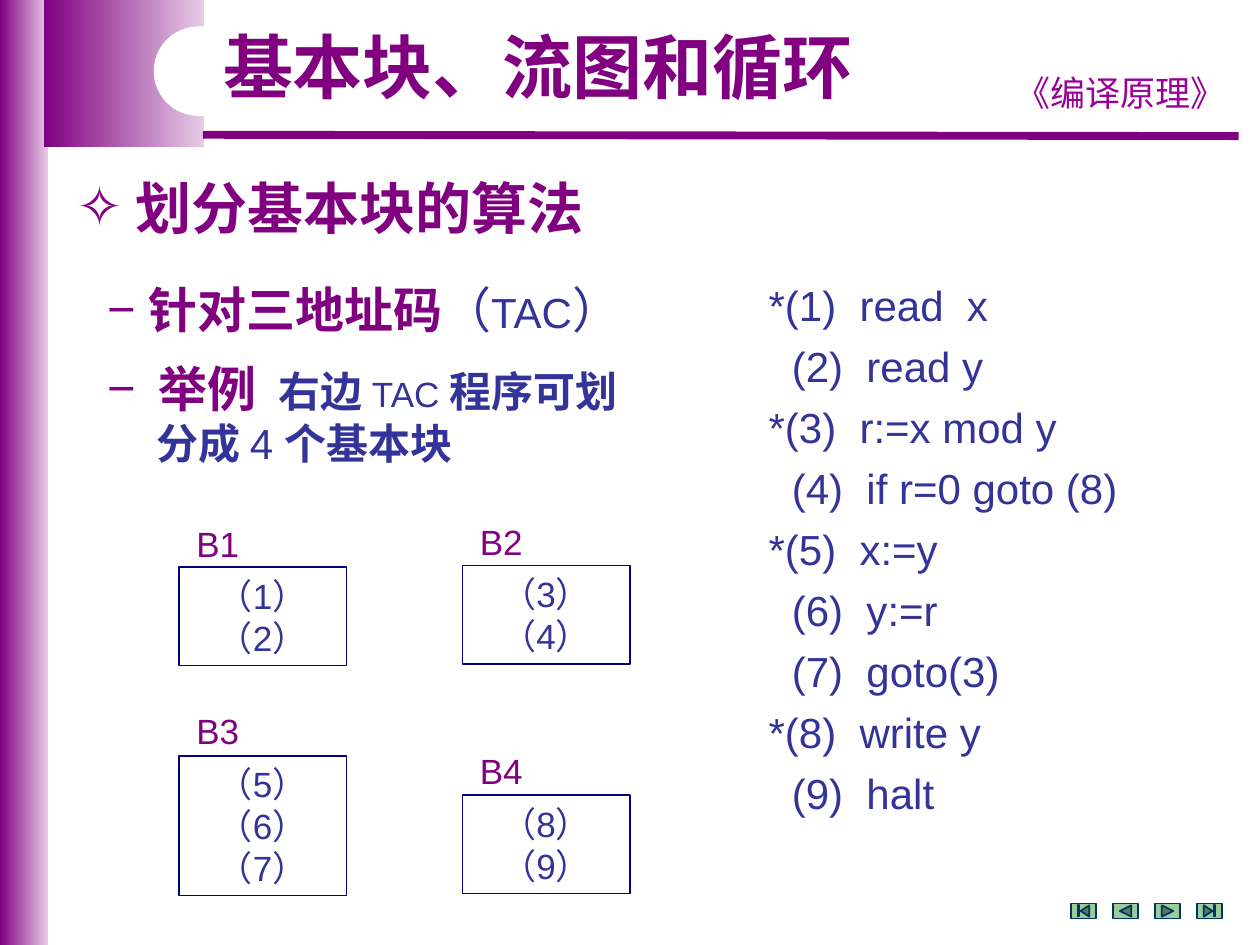
"""Build the slide on basic blocks, flow graphs and loops."""
from dataclasses import dataclass

from lxml.etree import SubElement
from pptx import Presentation
from pptx.dml.color import RGBColor
from pptx.enum.shapes import MSO_CONNECTOR, MSO_SHAPE
from pptx.enum.text import MSO_ANCHOR, MSO_AUTO_SIZE, PP_ALIGN
from pptx.oxml.ns import qn
from pptx.util import Inches, Pt

PURPLE = RGBColor(0x80, 0x00, 0x80)
PALE_PURPLE = RGBColor(0xE6, 0xCC, 0xE6)
MAGENTA = RGBColor(0x99, 0x00, 0x99)
INDIGO = RGBColor(0x33, 0x33, 0x99)
NAVY = RGBColor(0x00, 0x00, 0x80)
GREEN = RGBColor(0x99, 0xCC, 0x99)
DARK_TEAL = RGBColor(0x00, 0x33, 0x66)
WHITE = RGBColor(0xFF, 0xFF, 0xFF)


@dataclass
class Span:
    text: str
    size: float
    color: RGBColor = INDIGO
    bold: bool = False


@dataclass
class Block:
    name: str
    left: float
    top: float
    height: float
    label_top: float
    steps: tuple[int, ...]


BLOCKS = [
    Block("B1", 1.42, 4.5, 0.78, 4.1, (1, 2)),
    Block("B2", 3.67, 4.49, 0.78, 4.08, (3, 4)),
    Block("B3", 1.42, 6, 1.11, 5.58, (5, 6, 7)),
    Block("B4", 3.67, 6.31, 0.78, 5.9, (8, 9)),
]
PROGRAM = [
    "*(1)  read  x",
    "  (2)  read y",
    "*(3)  r:=x mod y",
    "  (4)  if r=0 goto (8)",
    "*(5)  x:=y",
    "  (6)  y:=r",
    "  (7)  goto(3)",
    "*(8)  write y",
    "  (9)  halt",
]
BUTTONS = [
    MSO_SHAPE.ACTION_BUTTON_BEGINNING,
    MSO_SHAPE.ACTION_BUTTON_BACK_OR_PREVIOUS,
    MSO_SHAPE.ACTION_BUTTON_FORWARD_OR_NEXT,
    MSO_SHAPE.ACTION_BUTTON_END,
]


def write(frame, *spans: Span, align=PP_ALIGN.LEFT, bullet="", margin=0.0,
          indent=0.0, tab=0.0, before=0.0, spacing=1.0, font="Arial"):
    """Write one paragraph, filling the empty first one when there is one."""
    first = frame.paragraphs[0]
    para = frame.add_paragraph() if first.runs else first
    para.alignment = align
    para.line_spacing = spacing
    para.space_before = Pt(before)
    para.space_after = Pt(0)
    properties = para._p.get_or_add_pPr()
    properties.set("marL", str(Inches(margin)))
    properties.set("indent", str(Inches(indent)))
    if bullet:
        color = SubElement(properties, qn("a:buClr"))
        SubElement(color, qn("a:srgbClr"), val=str(PURPLE))
        SubElement(properties, qn("a:buFont"), typeface="Arial")
        SubElement(properties, qn("a:buChar"), char=bullet)
    else:
        SubElement(properties, qn("a:buNone"))
    if tab:
        stops = SubElement(properties, qn("a:tabLst"))
        SubElement(stops, qn("a:tab"), pos=str(Inches(tab)), algn="l")
    for span in spans:
        run = para.add_run()
        run.text = span.text
        run.font.name = font
        run.font.size = Pt(span.size)
        run.font.bold = span.bold
        run.font.color.rgb = span.color


def place(placeholder, left: float, top: float, width: float, height: float):
    """Move a placeholder to the front and return its text frame."""
    placeholder.left, placeholder.top = Inches(left), Inches(top)
    placeholder.width, placeholder.height = Inches(width), Inches(height)
    placeholder.element.getparent().append(placeholder.element)
    frame = placeholder.text_frame
    frame.auto_size = MSO_AUTO_SIZE.NONE
    frame.vertical_anchor = MSO_ANCHOR.TOP
    frame.word_wrap = True
    return frame


def add_text(slide, left: float, top: float, width: float, height: float, wrap=True):
    """Add a text box and return its text frame."""
    box = slide.shapes.add_textbox(Inches(left), Inches(top), Inches(width), Inches(height))
    box.text_frame.word_wrap = wrap
    return box.text_frame


def add_box(slide, kind, left: float, top: float, width: float, height: float,
            fill=None, line=None, line_width=0.75):
    """Add a flat preset shape."""
    box = slide.shapes.add_shape(kind, Inches(left), Inches(top), Inches(width), Inches(height))
    box.shadow.inherit = False
    if fill is None:
        box.fill.background()
    else:
        box.fill.solid()
        box.fill.fore_color.rgb = fill
    if line is None:
        box.line.fill.background()
    else:
        box.line.color.rgb = line
        box.line.width = Pt(line_width)
    return box


def add_frame(slide):
    """Draw the gradient bars, the rule and the course name."""
    for left, width, height in ((0, 0.38, 7.5), (0.35, 1.27, 1.17)):
        bar = add_box(slide, MSO_SHAPE.RECTANGLE, left, 0, width, height)
        bar.fill.gradient()
        bar.fill.gradient_angle = 0
        for stop, color in zip(bar.fill.gradient_stops, (PURPLE, PALE_PURPLE)):
            stop.color.rgb = color
    rule = slide.shapes.add_connector(
        MSO_CONNECTOR.STRAIGHT, Inches(1.61), Inches(1.07), Inches(9.83), Inches(1.08))
    rule.line.color.rgb = PURPLE
    rule.line.width = Pt(4.5)
    SubElement(rule.element.spPr, qn("a:effectLst"))
    write(add_text(slide, 7.91, 0.52, 1.97, 0.43), Span("《编译原理》", 20, MAGENTA),
          align=PP_ALIGN.CENTER, font="Noto Sans CJK SC")
    notch = add_box(slide, MSO_SHAPE.ROUNDED_RECTANGLE, 1.22, 0.21, 3.62, 0.71, fill=WHITE)
    notch.adjustments[0] = 0.5


def add_block(slide, block: Block):
    """Draw one basic block with its label."""
    box = add_box(slide, MSO_SHAPE.RECTANGLE, block.left, block.top, 1.33, block.height, line=NAVY)
    box.text_frame.vertical_anchor = MSO_ANCHOR.MIDDLE
    for step in block.steps:
        write(box.text_frame, Span(f"（{step}）", 20), align=PP_ALIGN.CENTER)
    label = add_text(slide, block.left + 0.04, block.label_top, 0.54, 0.43, wrap=False)
    write(label, Span(block.name, 20, PURPLE))


def main():
    deck = Presentation()
    deck.slide_width, deck.slide_height = Inches(10), Inches(7.5)
    slide = deck.slides.add_slide(deck.slide_layouts[3])
    title, points, program = slide.placeholders
    add_frame(slide)

    write(place(title, 1.67, 0.21, 5.42, 0.7),
          Span("基本块、流图和循环", 40, PURPLE, True), spacing=0.9)
    write(add_text(slide, 0.51, 1.33, 5.66, 0.63), Span("划分基本块的算法", 32, PURPLE, True),
          bullet="✧", margin=0.47, indent=-0.47)

    frame = place(points, 0.75, 2.17, 4.67, 1.6)
    write(frame, Span("针对三地址码", 28, PURPLE, True), Span("（", 28), Span("TAC", 24),
          Span("）", 28), bullet="−", margin=0.33, indent=-0.33)
    write(frame, Span("举例\t", 28, PURPLE, True), Span("右边 ", 24, bold=True),
          Span("TAC ", 20), Span("程序可划", 24, bold=True),
          bullet="−", margin=0.41, indent=-0.41, tab=1.36, before=11.5)
    write(frame, Span("分成 ", 24, bold=True), Span("4 ", 24), Span("个基本块", 24, bold=True),
          margin=0.39)

    frame = place(program, 6, 2.17, 3.17, 4.42)
    for number, line in enumerate(PROGRAM):
        write(frame, Span(line, 24), margin=0.38, indent=-0.38, before=6 if number else 0)

    for block in BLOCKS:
        add_block(slide, block)
    for number, kind in enumerate(BUTTONS):
        add_box(slide, kind, 8.5 + number / 3, 7.17, 0.2, 0.12, GREEN, DARK_TEAL, 1)
    deck.save("out.pptx")


if __name__ == "__main__":
    main()
